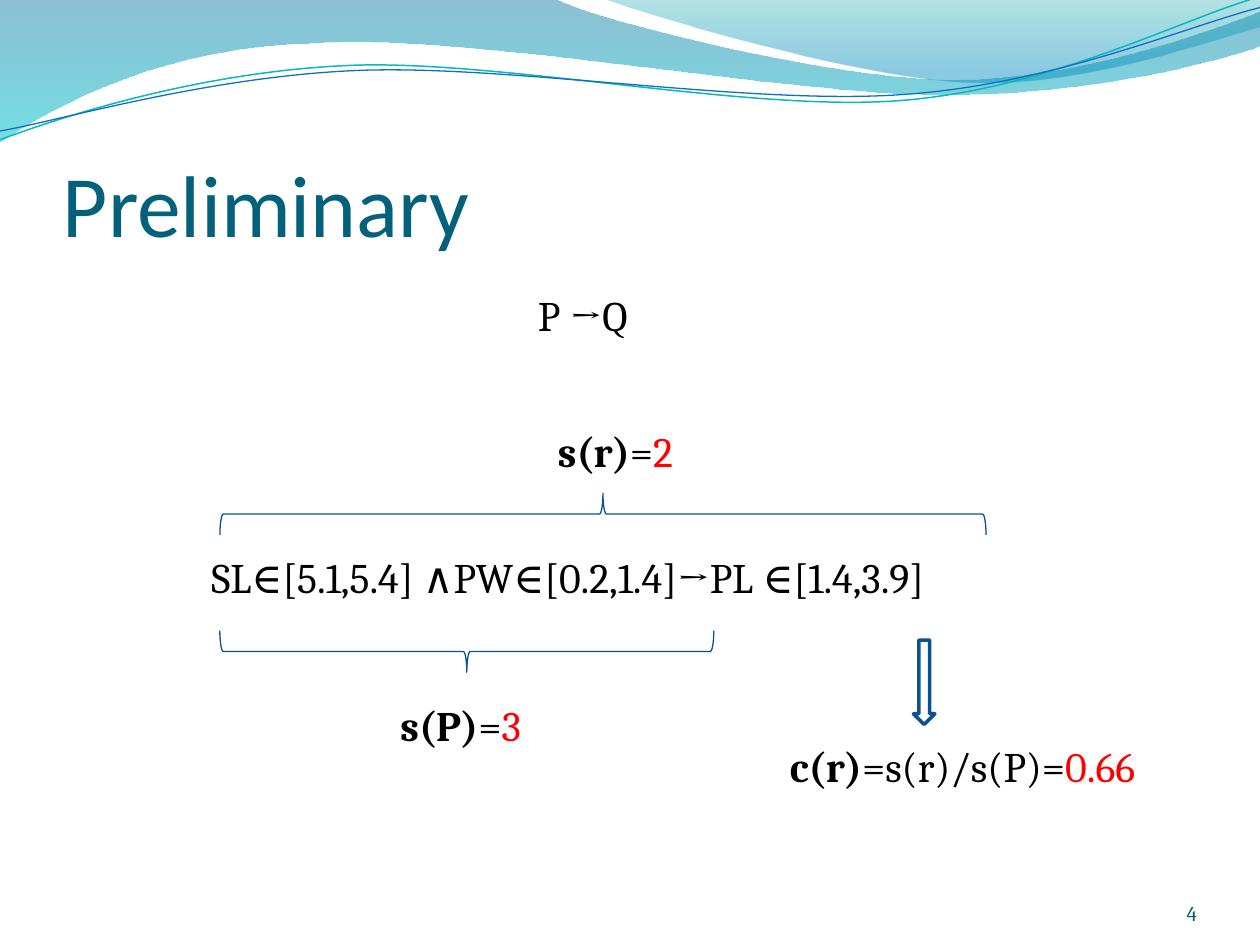
import lxml.etree
import pptx
import pptx.dml.color
import pptx.enum.shapes
import pptx.enum.text
import pptx.oxml.ns
import pptx.util

EMU_PER_PX = 9144
SHAPES = pptx.enum.shapes.MSO_SHAPE
ANCHOR = pptx.enum.text.MSO_ANCHOR
ALIGN = pptx.enum.text.PP_ALIGN


def px(length):
    return pptx.util.Emu(length * EMU_PER_PX)


def rgb(value):
    return pptx.dml.color.RGBColor.from_string(value)


def tag(name):
    return pptx.oxml.ns.qn(name)


class SlideBuilder:
    body_font = "Cambria"
    title_font = "Calibri"
    black = "000000"
    red = "FF0000"
    blue = "095295"

    def __init__(self, deck):
        self.page = deck.slides.add_slide(deck.slide_layouts[6])

    def text(self, left, top, width, height, spans, size=24, font=body_font,
             insets=None, anchor=ANCHOR.TOP, align=ALIGN.LEFT):
        box = self.page.shapes.add_textbox(px(left), px(top), px(width), px(height))
        frame = box.text_frame
        frame.word_wrap = True
        frame.vertical_anchor = anchor
        if insets is None:
            frame.auto_size = pptx.enum.text.MSO_AUTO_SIZE.SHAPE_TO_FIT_TEXT
        else:
            frame.margin_left = frame.margin_right = px(0)
            frame.margin_top, frame.margin_bottom = (px(inset) for inset in insets)
        para = frame.paragraphs[0]
        para.alignment = align
        for words, color, bold in spans:
            span = para.add_run()
            span.text = words
            span.font.name = font
            span.font.size = pptx.util.Pt(size)
            span.font.bold = bold
            span.font.color.rgb = rgb(color)

    def formula(self, left, top, width, text):
        self.text(left, top, width, 50, [(text, self.black, False)])

    def measure(self, left, top, width, name, middle, value):
        self.text(left, top, width, 50, [
            (name, self.black, True), (middle, self.black, False), (value, self.red, False)])

    def outlined(self, shape, color, weight):
        shape.shadow.inherit = False
        shape.fill.background()
        shape.line.color.rgb = rgb(color)
        shape.line.width = pptx.util.Pt(weight)

    def preset(self, kind, left, top, width, height, rotation=0, color=blue, weight=0.75):
        shape = self.page.shapes.add_shape(kind, px(left), px(top), px(width), px(height))
        shape.rotation = rotation
        self.outlined(shape, color, weight)

    def freeform(self, start, segments, close):
        builder = self.page.shapes.build_freeform(px(start[0]), px(start[1]))
        builder.add_line_segments(
            [(px(x), px(y)) for segment in segments for x, y in segment], close=close)
        shape = builder.convert_to_shape()
        steps = iter(list(shape.element.spPr.iter(tag("a:lnTo"))))
        for segment in segments:
            first, *others = [next(steps) for _ in segment]
            if others:
                first.tag = tag("a:cubicBezTo")
                for step in others:
                    first.append(step[0])
                    step.getparent().remove(step)
        return shape

    def wave(self, start, segments, stops):
        shape = self.freeform(start, segments + [[start]], True)
        shape.shadow.inherit = False
        shape.line.fill.background()
        shape.fill.gradient()
        shape.fill.gradient_angle = 270
        for stop, (position, color, _) in zip(shape.fill.gradient_stops, stops):
            stop.position = position
            stop.color.rgb = rgb(color)
        colors = shape.element.spPr.iter(tag("a:srgbClr"))
        for element, (_, _, opacity) in zip(colors, stops):
            alpha = lxml.etree.SubElement(element, tag("a:alpha"))
            alpha.set("val", str(opacity * 1000))

    def ripple(self, start, segments, color, weight):
        self.outlined(self.freeform(start, segments, False), color, weight)


def main():
    deck = pptx.Presentation()
    deck.slide_width, deck.slide_height = px(1000), px(750)
    slide = SlideBuilder(deck)

    slide.wave(
        (0, 0),
        [[(440, -1)],
         [(476, 17), (664, 63), (758, 63)],
         [(853, 63), (958, 26), (1000, 9)],
         [(1001, 36)],
         [(983, 44), (870, 76), (746, 75)],
         [(622, 75), (382, 28), (257, 34)],
         [(129, 36), (46, 83), (-1, 113)]],
        [(0, "0074A1", 45), (1, "00C6CF", 55)])
    slide.wave(
        (479, -1),
        [[(509, 11), (682, 62), (769, 65)],
         [(856, 69), (961, 32), (1000, 21)],
         [(1000, 0)]],
        [(0, "00A1A9", 30), (0.8, "008BBF", 45)])
    slide.ripple(
        (0, 111),
        [[(48, 93), (158, 57), (277, 52)],
         [(395, 47), (593, 89), (713, 80)],
         [(833, 71), (938, 15), (998, -2)]],
        "0AB8BF", 0.85)
    slide.ripple(
        (0, 104),
        [[(47, 96), (164, 61), (283, 56)],
         [(403, 51), (597, 84), (717, 75)],
         [(836, 67), (941, 21), (1000, 6)]],
        "0F6FC6", 0.75)

    slide.text(50, 77, 900, 125, [("Preliminary", "04617B", False)], size=50,
               font=slide.title_font, insets=(5, 0), anchor=ANCHOR.BOTTOM)
    slide.text(867, 695, 83, 40, [("4", "045D75", False)], size=12,
               insets=(0, 0), anchor=ANCHOR.BOTTOM, align=ALIGN.RIGHT)

    slide.formula(158, 433, 650, "SL∈[5.1,5.4] ∧PW∈[0.2,1.4]→PL ∈[1.4,3.9]")
    slide.preset(SHAPES.LEFT_BRACE, 354, 321, 33, 392, rotation=270)
    slide.preset(SHAPES.LEFT_BRACE, 462, 104, 33, 608, rotation=90)
    slide.formula(417, 225, 108, "P →Q")
    slide.measure(308, 550, 308, "s(P)", "=", "3")
    slide.measure(433, 333, 367, "s(r)", "=", "2")
    slide.preset(SHAPES.DOWN_ARROW, 725, 508, 17, 67, color="0B5292", weight=2)
    slide.measure(617, 583, 333, "c(r)", "=s(r)/s(P)=", "0.66")

    deck.save("out.pptx")


if __name__ == "__main__":
    main()
